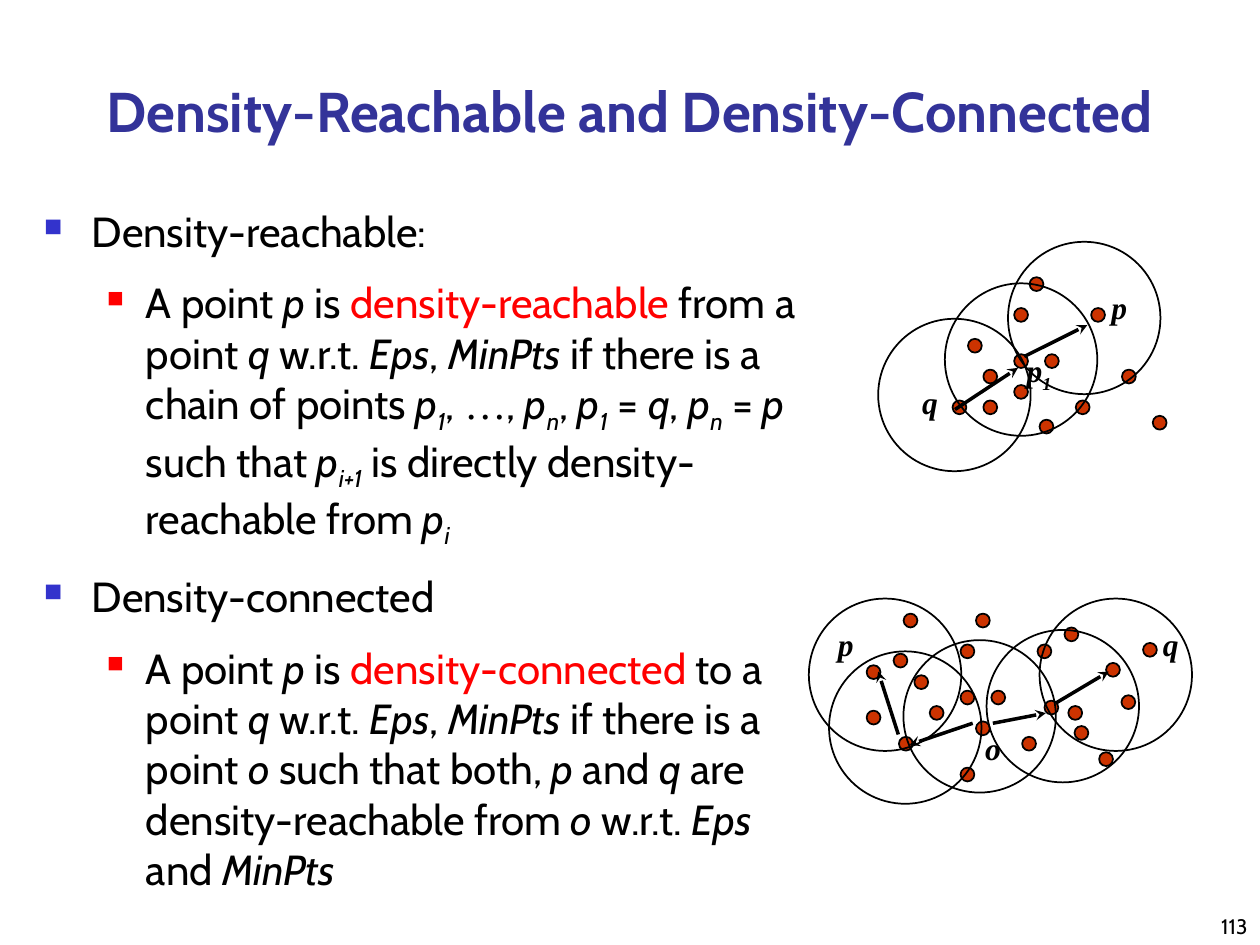
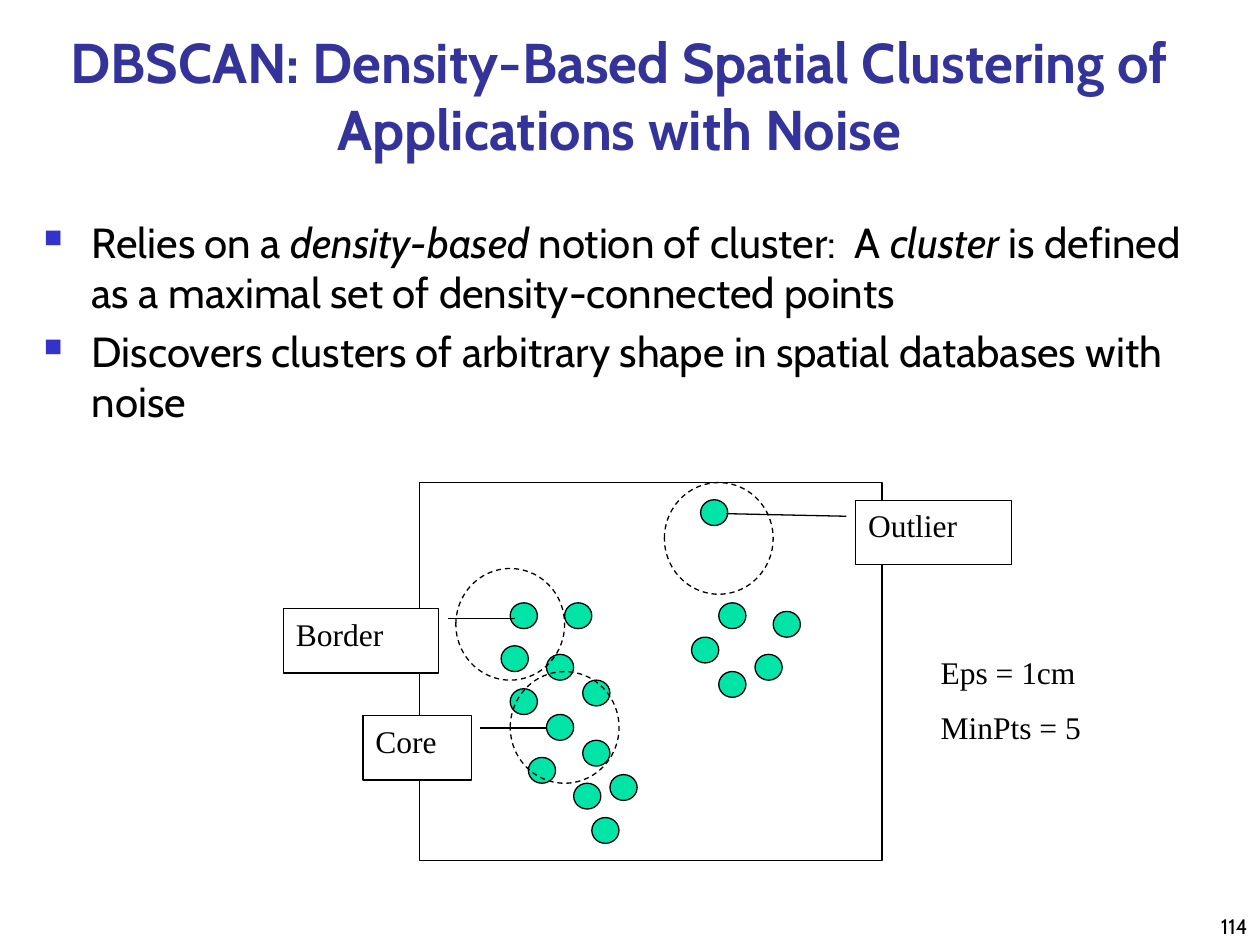
from dataclasses import dataclass

from lxml.etree import SubElement
from pptx import Presentation
from pptx.dml.color import RGBColor
from pptx.enum.dml import MSO_LINE
from pptx.enum.shapes import MSO_CONNECTOR, MSO_SHAPE
from pptx.enum.text import MSO_ANCHOR, PP_ALIGN
from pptx.oxml.ns import qn
from pptx.util import Inches, Pt

BLACK = RGBColor(0x00, 0x00, 0x00)
WHITE = RGBColor(0xFF, 0xFF, 0xFF)
TITLE_BLUE = RGBColor(0x33, 0x33, 0x99)
BULLET_BLUE = RGBColor(0x33, 0x33, 0xCC)
RED = RGBColor(0xFF, 0x00, 0x00)
POINT_RED = RGBColor(0xCC, 0x33, 0x00)
POINT_GREEN = RGBColor(0x00, 0xE4, 0xA8)
SANS = "Cabin"
SERIF = "Times New Roman"
BULLETS = [(BULLET_BLUE, 60, 0.38, 0.38), (RED, 55, 0.81, 0.31)]


@dataclass
class Grid:
    left: float
    top: float
    column: float
    row: float

    def point(self, column, row):
        return (Inches(self.left + column * self.column),
                Inches(self.top + row * self.row))

    def area(self, column, row, columns, rows):
        return (*self.point(column, row),
                Inches(columns * self.column), Inches(rows * self.row))


PAGE = Grid(0, 0, 0.25, 0.25)
REACHABLE = Grid(7.56, 2.2, 1.1 / 9, 1.1 / 9)
CONNECTED = Grid(6.89, 4.87, 1.1 / 9, 1.1 / 9)
SCATTER = Grid(3.33, 3.83, 3.67 / 51, 3 / 44)


@dataclass
class Span:
    text: str
    italic: bool = False
    bold: bool = False
    subscript: bool = False
    color: RGBColor = BLACK
    font: str = SANS


def it(text):
    return Span(text, italic=True)


def sub(text):
    return Span(text, italic=True, subscript=True)


def label_span(text, **style):
    return Span(text, font=SERIF, **style)


def add_spans(para, spans, size):
    for span in spans:
        if isinstance(span, str):
            span = Span(span)
        run = para.add_run()
        run.text = span.text
        run.font.size = Pt(size)
        run.font.name = span.font
        run.font.bold = span.bold
        run.font.italic = span.italic
        run.font.color.rgb = span.color
        if span.subscript:
            run.font._element.set("baseline", "-25000")


def add_bullet(para, level):
    color, percent, margin, hanging = BULLETS[level]
    properties = para._p.get_or_add_pPr()
    properties.set("marL", str(Inches(margin)))
    properties.set("indent", str(-Inches(hanging)))
    fill = SubElement(properties, qn("a:buClr"))
    SubElement(fill, qn("a:srgbClr"), val=str(color))
    SubElement(properties, qn("a:buSzPct"), val=str(percent * 1000))
    SubElement(properties, qn("a:buChar"), char="■")


def add_text(page, area, paragraphs, size, gap=0, levels=None,
             align=PP_ALIGN.LEFT, anchor=MSO_ANCHOR.TOP):
    frame = page.shapes.add_textbox(*area).text_frame
    frame.word_wrap = True
    frame.vertical_anchor = anchor
    for index, spans in enumerate(paragraphs):
        para = frame.add_paragraph() if index else frame.paragraphs[0]
        para.alignment = align
        para.space_before = Pt(gap if index else 0)
        if levels:
            add_bullet(para, levels[index])
        add_spans(para, spans, size)


def add_page(deck, title, title_area, title_anchor, number):
    page = deck.slides.add_slide(deck.slide_layouts[6])
    heading = Span(title, bold=True, color=TITLE_BLUE)
    add_text(page, PAGE.area(*title_area), [[heading]], 32,
             align=PP_ALIGN.CENTER, anchor=title_anchor)
    add_text(page, PAGE.area(31.67, 28.33, 8.33, 1.67), [[number]], 12,
             align=PP_ALIGN.RIGHT, anchor=MSO_ANCHOR.BOTTOM)
    return page


def add_outline(page, kind, area, fill=None, width=1, dashed=False):
    shape = page.shapes.add_shape(kind, *area)
    shape.shadow.inherit = False
    if fill is None:
        shape.fill.background()
    else:
        shape.fill.solid()
        shape.fill.fore_color.rgb = fill
    shape.line.color.rgb = BLACK
    shape.line.width = Pt(width)
    if dashed:
        shape.line.dash_style = MSO_LINE.DASH
    return shape


def add_arrow(page, grid, start, end):
    arrow = page.shapes.add_connector(
        MSO_CONNECTOR.STRAIGHT, *grid.point(*start), *grid.point(*end))
    arrow.line.color.rgb = BLACK
    arrow.line.width = Pt(2)
    SubElement(arrow.line._get_or_add_ln(), qn("a:tailEnd"), type="stealth")
    SubElement(arrow._element.spPr, qn("a:effectLst"))


def add_neighbourhoods(page, grid, points, circles, labels, arrows):
    for point in points:
        add_outline(page, MSO_SHAPE.OVAL, grid.area(*point, 0.9, 0.9), POINT_RED)
    for circle in circles:
        add_outline(page, MSO_SHAPE.OVAL, grid.area(*circle, 9.9, 9.9))
    for column, row, name, index in labels:
        spans = [label_span(name, bold=True, italic=True)]
        if index:
            spans.append(label_span(index, bold=True, italic=True, subscript=True))
        add_text(page, grid.area(column, row, 5.5 if index else 3.5, 4), [spans], 18)
    for start, end in arrows:
        add_arrow(page, grid, start, end)


def add_callout(page, text, area, adjustments):
    callout = add_outline(page, MSO_SHAPE.LINE_CALLOUT_1,
                          SCATTER.area(*area), WHITE, 0.75)
    for index, value in enumerate(adjustments):
        callout.adjustments[index] = value
    frame = callout.text_frame
    frame.word_wrap = True
    frame.vertical_anchor = MSO_ANCHOR.TOP
    para = frame.paragraphs[0]
    para.alignment = PP_ALIGN.LEFT
    add_spans(para, [label_span(text)], 18)


def add_reachability_page(deck):
    page = add_page(deck, "Density-Reachable and Density-Connected",
                    (0, 1.67, 40, 3.67), MSO_ANCHOR.MIDDLE, "113")
    parameters = [it("q"), " w.r.t. ", it("Eps"), ", ", it("MinPts")]
    paragraphs = [
        ["Density-reachable:"],
        ["A point ", it("p"), " is ", Span("density-reachable", color=RED),
         " from a point ", *parameters, " if there is a chain of points ",
         it("p"), sub("1"), ", ", Span("…", font=SERIF), ", ",
         it("p"), sub("n"), ", ", it("p"), sub("1"), " = ", it("q"), ", ",
         it("p"), sub("n"), " = ", it("p"), " such that ", it("p"), sub("i+1"),
         " is directly density-reachable from ", it("p"), sub("i")],
        ["Density-connected"],
        ["A point ", it("p"), " is ", Span("density-connected", color=RED),
         " to a point ", *parameters, " if there is a point ", it("o "),
         "such that both, ", it("p"), " and ", it("q"),
         " are density-reachable from ", it("o"), " w.r.t. ", it("Eps"),
         " and ", it("MinPts")],
    ]
    add_text(page, PAGE.area(1, 6.33, 24.67, 22), paragraphs, 24,
             gap=12, levels=[0, 1, 0, 1])
    add_neighbourhoods(
        page, REACHABLE,
        points=[(1, 4), (4, 5), (4, 2), (0, 8), (2, 6), (2, 8), (5.65, 9.25),
                (5, 0), (11, 6), (9, 2), (4, 7), (6, 5), (8, 8), (13, 9)],
        circles=[(-0.5, 0.4), (-4.83, 2.7), (3.6, -2.3)],
        labels=[(9.5, 0.33, "p", ""), (-2.78, 6.46, "q", ""), (4, 4.42, "p", "1")],
        arrows=[((4.66, 5.15), (8.75, 3.11)), ((0.16, 8.59), (4.25, 5.89))])
    add_neighbourhoods(
        page, CONNECTED,
        points=[(3, 4), (6, 5), (6, 2), (2, 8), (4, 6), (6, 10), (7, 7), (7, 0),
                (13, 6), (11, 2), (-0.1, 6.3), (8, 5), (10, 8), (15, 9),
                (16.45, 5.3), (11.45, 5.65), (13.4, 7.3), (17.85, 1.9),
                (12.75, 0.9), (15.45, 3.2), (1.65, 2.6), (-0.1, 3.35), (2.3, 0)],
        circles=[(-2.54, 2.45), (2.29, 1.72), (7.69, 1.06),
                 (11.13, -0.98), (-3.85, -0.98)],
        labels=[(-2.78, 0.33, "p", ""), (18.33, 0.33, "q", ""),
                (6.79, 7.12, "o", "")],
        arrows=[((6.79, 7.12), (2.7, 8.51)), ((8.1, 7.12), (11.54, 6.46)),
                ((1.96, 7.85), (0.65, 3.76)), ((12.19, 5.81), (15.63, 3.76))])


def add_dbscan_page(deck):
    page = add_page(
        deck, "DBSCAN: Density-Based Spatial Clustering of Applications with Noise",
        (1, 1, 37.33, 4.33), MSO_ANCHOR.BOTTOM, "114")
    paragraphs = [
        ["Relies on a ", it("density-based"), " notion of cluster:  A ",
         it("cluster"), " is defined as a maximal set of density-connected points"],
        ["Discovers clusters of arbitrary shape in spatial databases with noise"],
    ]
    add_text(page, PAGE.area(1, 6.67, 37.33, 22), paragraphs, 24,
             gap=4.8, levels=[0, 0])
    points = [(10, 14), (9, 19), (14, 20), (16, 14), (18, 23), (10, 24),
              (14, 27), (12, 32), (17, 35), (19, 39), (18, 30), (21, 34),
              (31, 2), (33, 14), (30, 18), (37, 20), (39, 15), (33, 22)]
    for point in points:
        add_outline(page, MSO_SHAPE.OVAL, SCATTER.area(*point, 3, 3),
                    POINT_GREEN, 0.75)
    add_outline(page, MSO_SHAPE.RECTANGLE, SCATTER.area(0, 0, 51, 44), width=0.75)
    for circle in [(4, 10), (10, 22), (27, 0)]:
        add_outline(page, MSO_SHAPE.OVAL, SCATTER.area(*circle, 12, 13),
                    width=0.75, dashed=True)
    add_callout(page, "Core", (-6.25, 27.13, 12, 7.5), (0.19, 1.08, 0.19, 1.69))
    add_callout(page, "Border", (-15, 14.67, 17.1, 7.5), (0.15, 1.06, 0.15, 1.49))
    add_callout(page, "Outlier", (48.1, 2.05, 17.2, 7.5), (0.25, -0.06, 0.21, -0.83))
    add_text(page, SCATTER.area(56.1, 19.1, 25, 16),
             [[label_span("Eps = 1cm")], [label_span("MinPts = 5")]], 18, gap=10)


def main():
    deck = Presentation()
    deck.slide_width = Inches(10)
    deck.slide_height = Inches(7.5)
    add_reachability_page(deck)
    add_dbscan_page(deck)
    deck.save("out.pptx")


if __name__ == "__main__":
    main()
